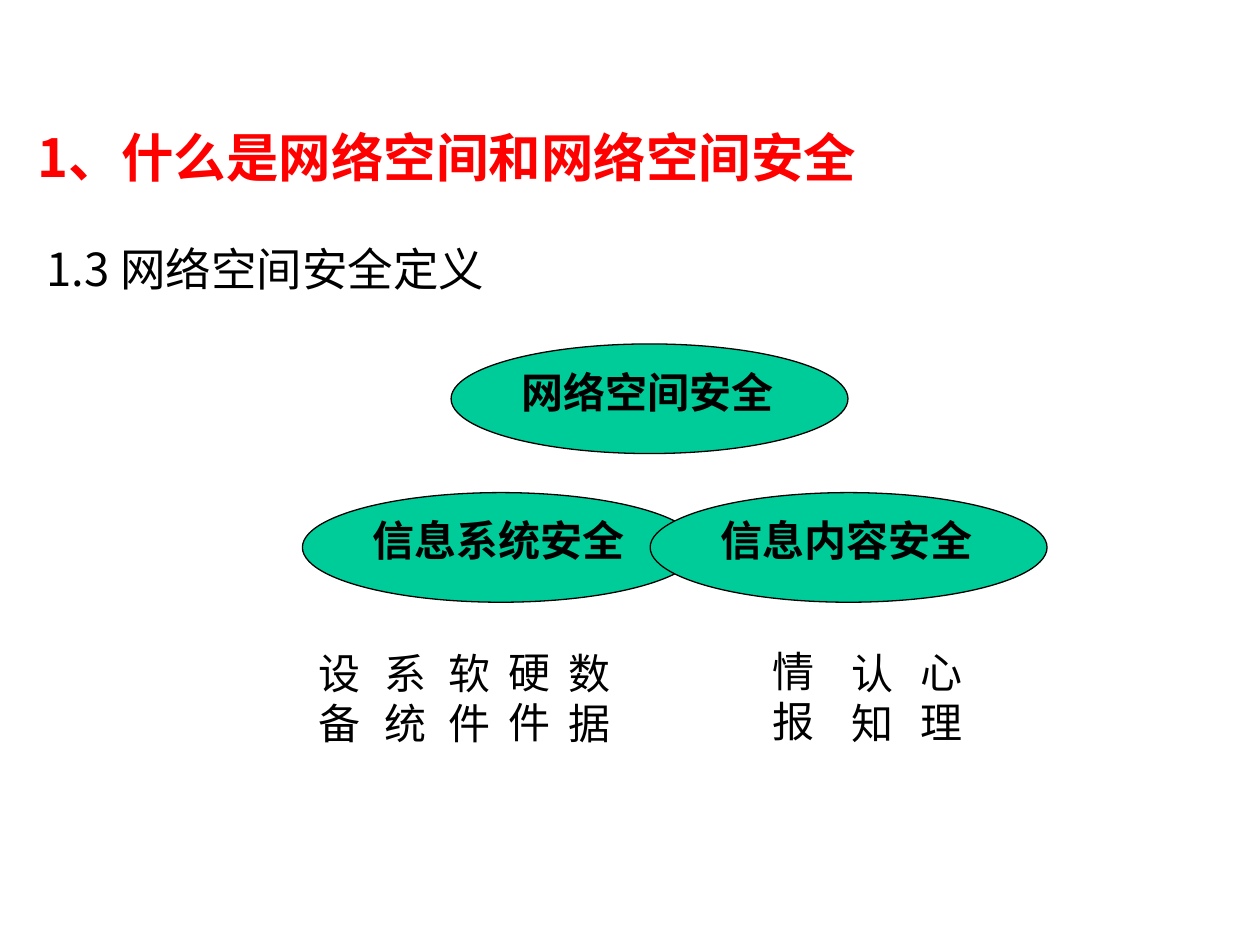
import dataclasses

import lxml.etree
import pptx
import pptx.dml.color
import pptx.enum.shapes
import pptx.enum.text
import pptx.oxml.ns
from pptx.util import Inches


@dataclasses.dataclass(frozen=True)
class Theme:
    title_color: str = "FF0000"
    text_color: str = "000000"
    ellipse_color: str = "00CC99"
    title_size: int = 30
    body_size: int = 26
    label_size: int = 24
    heading_font: str = "Noto Sans CJK SC"
    ellipse_font: str = "Arial"
    column_font: str = "Times New Roman"


theme = Theme()
qn = pptx.oxml.ns.qn


def rgb(value):
    return pptx.dml.color.RGBColor.from_string(value)


def format_paragraph(paragraph, font_name, size, color, bold=False):
    """Set the font, and the heading font for East Asian letters."""
    font = paragraph.font
    font.name = font_name
    font.size = pptx.util.Pt(size)
    font.bold = bold
    font.color.rgb = rgb(color)
    properties = paragraph._p.pPr.find(qn("a:defRPr"))
    east_asian = lxml.etree.SubElement(properties, qn("a:ea"))
    east_asian.set("typeface", theme.heading_font)


presentation = pptx.Presentation()
presentation.slide_width = Inches(10)
presentation.slide_height = Inches(7.5)
slide = presentation.slides.add_slide(presentation.slide_layouts[1])

# Title and subtitle
title = slide.shapes.title
title.left, title.top = Inches(0.2), Inches(0.79)
title.width, title.height = Inches(8.03), Inches(0.91)
title.text_frame.text = "1、什么是网络空间和网络空间安全"
title.text_frame.vertical_anchor = pptx.enum.text.MSO_ANCHOR.MIDDLE
paragraph = title.text_frame.paragraphs[0]
paragraph.alignment = pptx.enum.text.PP_ALIGN.LEFT
format_paragraph(paragraph, theme.heading_font, theme.title_size, theme.title_color, bold=True)

body = slide.placeholders[1]
body.left, body.top = Inches(0.27), Inches(1.86)
body.width, body.height = Inches(9.21), Inches(0.79)
body.text_frame.text = "1.3 网络空间安全定义"
paragraph = body.text_frame.paragraphs[0]
paragraph.alignment = pptx.enum.text.PP_ALIGN.JUSTIFY
paragraph.space_before = pptx.util.Pt(0)
paragraph_properties = paragraph._p.get_or_add_pPr()
paragraph_properties.set("marL", str(Inches(0.38)))
paragraph_properties.set("indent", str(Inches(-0.38)))
lxml.etree.SubElement(paragraph_properties, qn("a:buNone"))
format_paragraph(paragraph, theme.heading_font, theme.body_size, theme.text_color)

# The field and its two overlapping parts
ellipses = [
    ("网络空间安全", 3.58, 2.73),
    ("信息系统安全", 2.4, 3.91),
    ("信息内容安全", 5.16, 3.91),
]
for text, left, top in ellipses:
    ellipse = slide.shapes.add_shape(
        pptx.enum.shapes.MSO_SHAPE.OVAL,
        Inches(left), Inches(top), Inches(3.15), Inches(0.87),
    )
    ellipse.shadow.inherit = False
    ellipse.fill.solid()
    ellipse.fill.fore_color.rgb = rgb(theme.ellipse_color)
    ellipse.line.color.rgb = rgb(theme.text_color)
    ellipse.line.width = pptx.util.Pt(0.75)
    ellipse.text_frame.text = text
    ellipse.text_frame.vertical_anchor = pptx.enum.text.MSO_ANCHOR.TOP
    paragraph = ellipse.text_frame.paragraphs[0]
    paragraph.alignment = pptx.enum.text.PP_ALIGN.LEFT
    format_paragraph(paragraph, theme.ellipse_font, theme.label_size, theme.text_color, bold=True)

# Narrow boxes that wrap after each character
columns = [
    ("设备", 2.43, 5.09),
    ("系统", 2.95, 5.09),
    ("软件", 3.46, 5.09),
    ("硬件", 3.94, 5.08),
    ("数据", 4.41, 5.09),
    ("情报", 6.03, 5.07),
    ("认知", 6.66, 5.09),
    ("心理", 7.21, 5.08),
]
for text, left, top in columns:
    column = slide.shapes.add_textbox(Inches(left), Inches(top), Inches(0.55), Inches(0.91))
    column.text_frame.word_wrap = True
    column.text_frame.auto_size = pptx.enum.text.MSO_AUTO_SIZE.SHAPE_TO_FIT_TEXT
    column.text_frame.text = text
    format_paragraph(
        column.text_frame.paragraphs[0], theme.column_font, theme.label_size, theme.text_color
    )

presentation.save("out.pptx")
